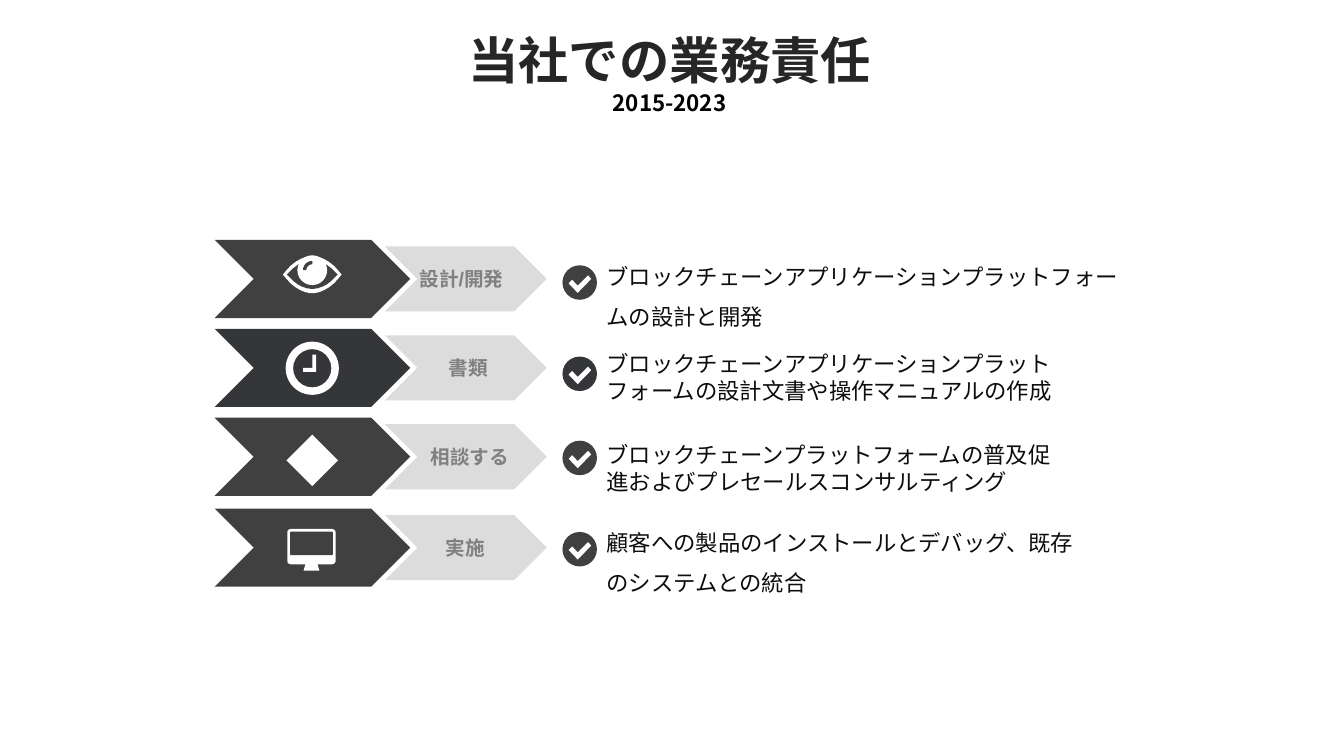
import math

from lxml import etree
from pptx import Presentation
from pptx import util as u
from pptx.dml.color import RGBColor
from pptx.enum import shapes, text
from pptx.oxml import ns

COLORS = {
    "dark": "404040",
    "slate": "353639",
    "pale": "D9D9D9",
    "label": "808080",
    "body": "0D0D0D",
    "title": "262626",
    "black": "000000",
    "white": "FFFFFF",
}
CJK = "Noto Sans CJK SC"
ICON_X = 7.87
CHECK_X = 14.61
CHEVRON_HEIGHT = 1.97
ARROW_HEIGHT = 1.64


class Deck:
    def __init__(self):
        self.prs = Presentation()
        self.prs.slide_width = u.Cm(33.87)
        self.prs.slide_height = u.Cm(19.05)
        self.slide = self.prs.slides.add_slide(self.prs.slide_layouts[5])

    def paint(self, shape, color, opacity=100):
        shape.shadow.inherit = False
        shape.fill.solid()
        shape.fill.fore_color.rgb = RGBColor.from_string(COLORS[color])
        shape.line.fill.background()
        if opacity < 100:
            srgb = shape.fill._xPr.find(".//" + ns.qn("a:srgbClr"))
            etree.SubElement(srgb, ns.qn("a:alpha"), val=str(opacity * 1000))

    def preset(self, kind, x, y, width, height, color, opacity=100, adjust=None):
        shape = self.slide.shapes.add_shape(
            kind, u.Cm(x), u.Cm(y), u.Cm(width), u.Cm(height))
        if adjust is not None:
            shape.adjustments[0] = adjust
        self.paint(shape, color, opacity)

    def centred(self, kind, x, y, size, color, adjust=None):
        self.preset(kind, x - size / 2, y - size / 2, size, size, color, adjust=adjust)

    def outline(self, x, y, points, color):
        builder = self.slide.shapes.build_freeform(*points[0], scale=u.Cm(0.01))
        builder.add_line_segments(points[1:], close=True)
        self.paint(builder.convert_to_shape(u.Cm(x), u.Cm(y)), color)

    def style(self, paragraph, size, color, font=CJK, bold=False):
        for run in paragraph.runs:
            run.font.size = u.Pt(size)
            run.font.name = font
            run.font.bold = bold
            run.font.color.rgb = RGBColor.from_string(COLORS[color])
            latin = run.font._element.find(ns.qn("a:latin"))
            east_asian = etree.Element(ns.qn("a:ea"), typeface=CJK)
            latin.addnext(east_asian)

    def title(self, heading, period):
        shape = self.slide.shapes.title
        shape.left, shape.top = u.Cm(11.49), u.Cm(0.6)
        shape.width, shape.height = u.Cm(10.77), u.Cm(2.49)
        frame = shape.text_frame
        frame.text = heading
        frame.add_paragraph().text = period
        frame.auto_size = text.MSO_AUTO_SIZE.NONE
        frame.word_wrap = False
        frame.vertical_anchor = text.MSO_ANCHOR.TOP
        for paragraph, size, color in zip(frame.paragraphs, (36, 16), ("title", "black")):
            paragraph.alignment = text.PP_ALIGN.CENTER
            self.style(paragraph, size, color, bold=True)

    def box(self, words, x, y, width, height):
        frame = self.slide.shapes.add_textbox(
            u.Cm(x), u.Cm(y), u.Cm(width), u.Cm(height)).text_frame
        frame.text = words
        frame.word_wrap = True
        frame.margin_left = frame.margin_right = 0
        frame.margin_top = frame.margin_bottom = 0
        return frame

    def label(self, words, centre_x, centre_y):
        frame = self.box(words, centre_x - 1.07, centre_y - 0.6, 2.14, 1.2)
        frame.vertical_anchor = text.MSO_ANCHOR.MIDDLE
        frame.paragraphs[0].alignment = text.PP_ALIGN.CENTER
        self.style(frame.paragraphs[0], 14, "label", "Arial", True)

    def duty(self, words, y, width, spacing):
        frame = self.box(words, 15.29, y, width, 1.37 * spacing)
        frame.paragraphs[0].line_spacing = spacing
        self.style(frame.paragraphs[0], 16, "body")

    def check(self, y, color):
        self.centred(shapes.MSO_SHAPE.OVAL, CHECK_X, y, 0.87, color)
        tick = [(29, -9), (21, -18), (-5, 8), (-19, -7), (-28, 2), (-5, 26)]
        self.outline(CHECK_X, y, tick, "white")

    def eye(self, y):
        for width, height, color in ((74, 47, "white"), (64, 36, "dark")):
            steps = [i / 16 for i in range(-16, 17)]
            upper = [(width * s, -height * (1 - s * s)) for s in steps]
            lower = [(px, -py) for px, py in reversed(upper)]
            self.outline(ICON_X, y, upper + lower[1:-1], color)
        pupil_y = y - 0.11
        self.centred(shapes.MSO_SHAPE.OVAL, ICON_X, pupil_y, 0.75, "white")
        angles = [math.radians(a) for a in range(180, 271, 10)]
        outer = [(23 * math.cos(a), 23 * math.sin(a)) for a in angles]
        inner = [(15 * math.cos(a), 15 * math.sin(a)) for a in reversed(angles)]
        self.outline(ICON_X, pupil_y, outer + inner, "dark")

    def clock(self, y):
        self.centred(shapes.MSO_SHAPE.DONUT, ICON_X, y, 1.34, "white", 0.14)
        hands = [(10, -34), (10, 9), (-23, 9), (-23, -1), (0, -1), (0, -34)]
        self.outline(ICON_X, y, hands, "white")

    def diamond(self, y):
        self.centred(shapes.MSO_SHAPE.DIAMOND, ICON_X, y, 1.3, "white")

    def monitor(self, y):
        x = ICON_X - 0.02
        rounded = shapes.MSO_SHAPE.ROUNDED_RECTANGLE
        self.preset(rounded, x - 0.61, y - 0.52, 1.22, 0.89, "white", adjust=0.1)
        self.preset(rounded, x - 0.54, y - 0.45, 1.08, 0.59, "dark", adjust=0.05)
        self.outline(x, y, [(-15, 36), (15, 36), (20, 53), (-20, 53)], "white")

    def row(self, centre_y, color, icon, icon_y, label, label_x, check_y, duty):
        chevron = shapes.MSO_SHAPE.CHEVRON
        self.preset(chevron, 5.41, centre_y - CHEVRON_HEIGHT / 2, 4.93, CHEVRON_HEIGHT, color)
        self.preset(chevron, 9.7, centre_y - ARROW_HEIGHT / 2, 4.08, ARROW_HEIGHT, "pale", 90)
        icon(icon_y)
        self.label(label, label_x, centre_y)
        self.check(check_y, color)
        self.duty(*duty)


def main():
    deck = Deck()
    deck.title("当社での業務責任", "2015-2023")
    rows = [
        (7.03, "dark", deck.eye, 6.92, "設計/開発", 11.63, 7.12,
         ("ブロックチェーンアプリケーションプラットフォームの設計と開発", 6.29, 12.98, 1.5)),
        (9.27, "slate", deck.clock, 9.28, "書類", 11.8, 9.42,
         ("ブロックチェーンアプリケーションプラットフォームの設計文書や操作マニュアルの作成",
          8.83, 12.2, 1)),
        (11.51, "dark", deck.diamond, 11.6, "相談する", 11.84, 11.54,
         ("ブロックチェーンプラットフォームの普及促進およびプレセールスコンサルティング",
          11.12, 11.33, 1)),
        (13.8, "dark", deck.monitor, 13.85, "実施", 11.72, 13.84,
         ("顧客への製品のインストールとデバッグ、既存のシステムとの統合", 13.0, 12.2, 1.5)),
    ]
    for row in rows:
        deck.row(*row)
    deck.prs.save("out.pptx")


if __name__ == "__main__":
    main()
